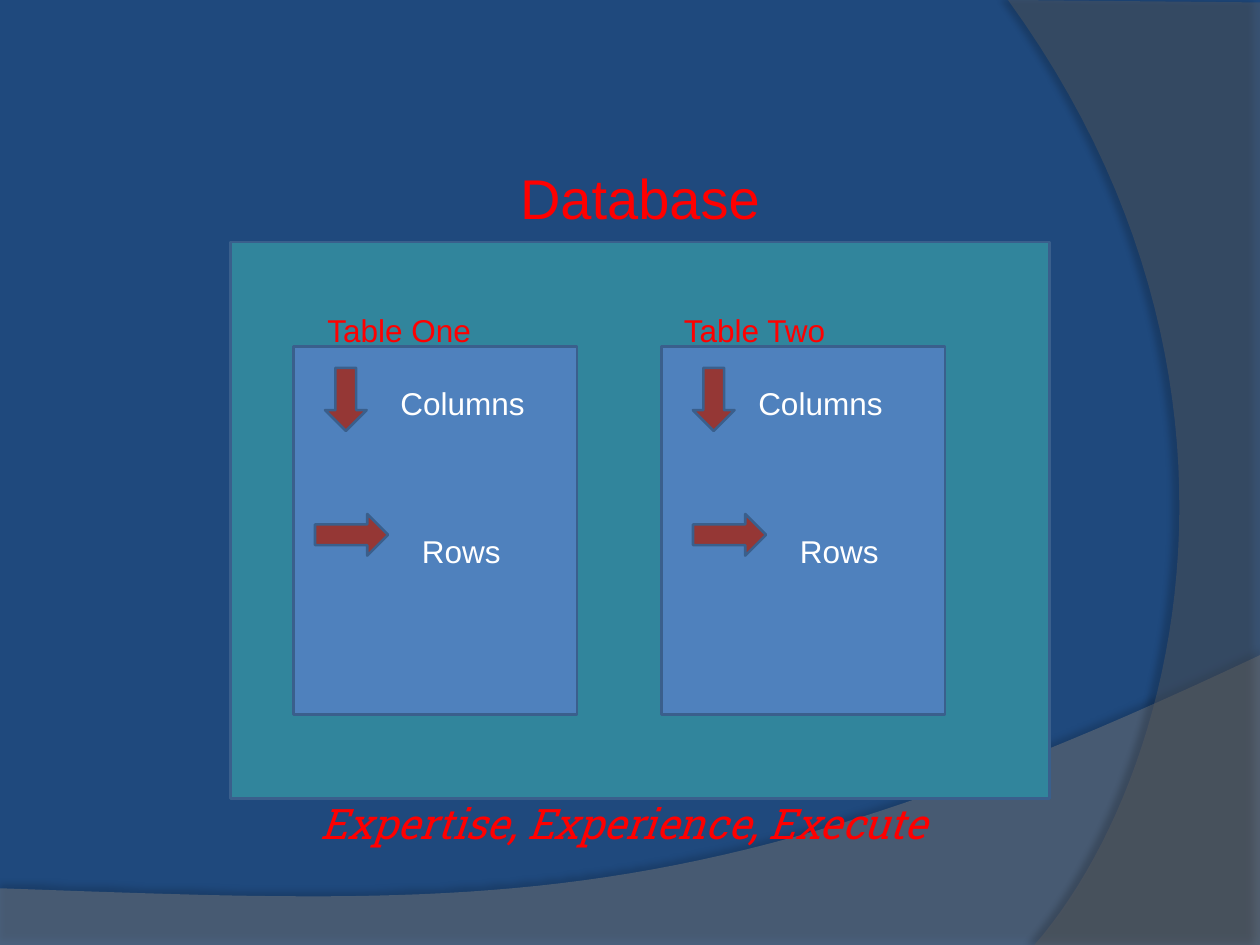
from lxml.etree import SubElement
from pptx import Presentation
from pptx.dml.color import RGBColor
from pptx.enum.shapes import MSO_SHAPE
from pptx.enum.text import MSO_ANCHOR, PP_ALIGN
from pptx.oxml.ns import qn
from pptx.util import Inches, Pt

NAVY = RGBColor(0x1F, 0x49, 0x7D)
GREY = RGBColor(0x7F, 0x7F, 0x7F)
DARK_GREY = RGBColor(0x5E, 0x5E, 0x5E)
BLACK = RGBColor(0, 0, 0)
TEAL = RGBColor(0x31, 0x85, 0x9C)
BLUE = RGBColor(0x4F, 0x81, 0xBD)
OUTLINE = RGBColor(0x3A, 0x5F, 0x8C)
BRICK = RGBColor(0x95, 0x37, 0x35)
RED = RGBColor(0xFF, 0, 0)
WHITE = RGBColor(0xFF, 0xFF, 0xFF)
CURVE_STEPS = 48


def curve(start, control_a, control_b, end):
    """Return points along a cubic curve, after its start."""
    points = []
    for step in range(1, CURVE_STEPS + 1):
        t = step / CURVE_STEPS
        weights = ((1 - t) ** 3, 3 * t * (1 - t) ** 2, 3 * t * t * (1 - t), t ** 3)
        corners = (start, control_a, control_b, end)
        points.append(tuple(sum(w * c[axis] for w, c in zip(weights, corners))
                            for axis in (0, 1)))
    return points


def add_alpha(color_element, percent):
    """Set the opacity of a colour element."""
    SubElement(color_element, qn("a:alpha"), val=str(percent * 1000))


def add_wave(slide, points, color, opacity, shadow_opacity, distance, direction):
    """Draw a translucent background wave with a soft shadow."""
    outline = [(Inches(x), Inches(y)) for x, y in points]
    builder = slide.shapes.build_freeform(*outline[0])
    builder.add_line_segments(outline[1:], close=True)
    wave = builder.convert_to_shape()
    wave.fill.solid()
    wave.fill.fore_color.rgb = color
    wave.line.fill.background()
    wave.shadow.inherit = False
    properties = wave.element.spPr
    add_alpha(properties.find(".//" + qn("a:srgbClr")), opacity)
    shadow = SubElement(properties.find(qn("a:effectLst")), qn("a:outerShdw"),
                        blurRad=str(Pt(4)), dist=str(Pt(distance)),
                        dir=str(direction * 60000), algn="ctr", rotWithShape="0")
    add_alpha(SubElement(shadow, qn("a:srgbClr"), val=str(BLACK)), shadow_opacity)


def add_background(slide, width, height):
    """Fill the slide and lay the two waves over it."""
    slide.background.fill.solid()
    slide.background.fill.fore_color.rgb = NAVY
    bottom_wave = [(0, 7.05), (0, height), (width, height), (width, 5.2)]
    bottom_wave += curve((width, 5.2), (5.59, 7.29), (3.91, 7.19), (0, 7.05))
    add_wave(slide, bottom_wave, GREY, 45, 35, 3.5, 270)
    side_wave = [(width, 0.02), (width, height), (8.21, height)]
    side_wave += curve((8.21, height), (9.35, 6.19), (10.18, 3), (8, 0))
    add_wave(slide, side_wave, DARK_GREY, 40, 45, 4, 180)


def add_block(slide, kind, left, top, width, height, color):
    """Draw an outlined preset shape."""
    block = slide.shapes.add_shape(kind, Inches(left), Inches(top),
                                   Inches(width), Inches(height))
    block.shadow.inherit = False
    block.fill.solid()
    block.fill.fore_color.rgb = color
    block.line.color.rgb = OUTLINE
    block.line.width = Pt(1.5)


def add_label(slide, text, left, top, width, height, color, size=18,
              align=PP_ALIGN.LEFT, font="Arial", italic=False):
    """Place a one-line label."""
    label = slide.shapes.add_textbox(Inches(left), Inches(top),
                                     Inches(width), Inches(height))
    frame = label.text_frame
    frame.word_wrap = True
    frame.vertical_anchor = MSO_ANCHOR.TOP
    paragraph = frame.paragraphs[0]
    paragraph.alignment = align
    run = paragraph.add_run()
    run.text = text
    run.font.name = font
    run.font.size = Pt(size)
    run.font.italic = italic
    run.font.color.rgb = color


def add_table_panel(slide, left, top, width, height, caption,
                    caption_inset, columns_inset, arrow_inset, rows_inset):
    """Draw one table panel with its caption, arrows and labels."""
    add_block(slide, MSO_SHAPE.RECTANGLE, left, top, width, height, BLUE)
    add_label(slide, caption, left + caption_inset, top - 0.33, 1.83, 0.4, RED)
    add_block(slide, MSO_SHAPE.DOWN_ARROW, left + 0.25, top + 0.17, 0.33, 0.5, BRICK)
    add_label(slide, "Columns", left + columns_inset, top + 0.25, 1.4, 0.4, WHITE)
    add_block(slide, MSO_SHAPE.RIGHT_ARROW, left + arrow_inset, top + 1.33,
              0.58, 0.33, BRICK)
    add_label(slide, "Rows", left + rows_inset, top + 1.42, 1, 0.4, WHITE)


def add_database(slide, left, top, width, height):
    """Draw the database box with its title, tables and tagline."""
    add_block(slide, MSO_SHAPE.RECTANGLE, left, top, width, height, TEAL)
    add_label(slide, "Database", left, top - 0.67, width, 0.64, RED, 32,
              PP_ALIGN.CENTER)
    panel_top = top + 0.83
    add_table_panel(slide, left + 0.5, panel_top, 2.25, 2.92, "Table One",
                    0.17, 0.75, 0.17, 0.92)
    add_table_panel(slide, left + 3.42, panel_top, 2.25, 2.92, "Table Two",
                    0.08, 0.67, 0.25, 1)
    add_label(slide, "Expertise, Experience, Execute", left - 0.13,
              top + height - 0.06, width, 0.54, RED, 24, PP_ALIGN.CENTER,
              "Roboto Slab", True)


def main():
    """Build and save the slide."""
    presentation = Presentation()
    presentation.slide_width = Inches(10)
    presentation.slide_height = Inches(7.5)
    slide = presentation.slides.add_slide(presentation.slide_layouts[6])
    add_background(slide, 10, 7.5)
    add_database(slide, 1.83, 1.92, 6.5, 4.42)
    presentation.save("out.pptx")


if __name__ == "__main__":
    main()
